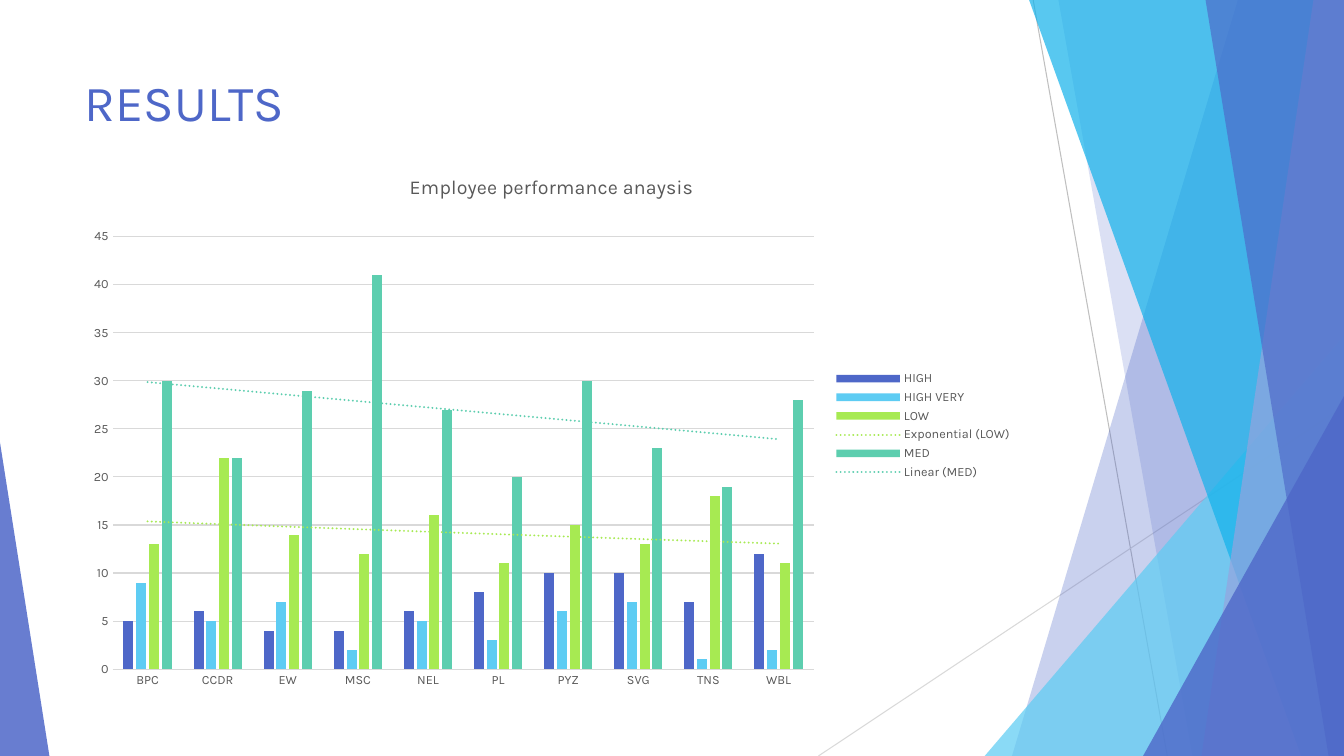
from lxml import etree
from pptx import Presentation
from pptx.chart.data import CategoryChartData
from pptx.dml.color import RGBColor
from pptx.enum.chart import XL_CHART_TYPE as ChartType
from pptx.enum.chart import XL_LEGEND_POSITION as LegendPosition
from pptx.enum.chart import XL_TICK_MARK as TickMark
from pptx.enum.shapes import MSO_CONNECTOR as Connector
from pptx.enum.shapes import MSO_SHAPE as Shape
from pptx.enum.text import MSO_ANCHOR as Anchor
from pptx.enum.text import PP_ALIGN as Align
from pptx.oxml import parse_xml
from pptx.oxml.ns import nsdecls, qn
from pptx.util import Pt

WIDTH, HEIGHT = 960, 540
FONT = "Karla"
COLORS = {
    "indigo": "4E67C8", "sky": "5ECCF3", "lime": "A7EA52", "mint": "5DCEAF",
    "azure": "12B2EB", "lavender": "95A4DE", "text": "595959",
    "grid": "D9D9D9", "rule": "BFBFBF",
}

# Back to front: (top left x, bottom left x) for facets, (left, top) for triangles
BACKDROP = [
    ("facet", (884.2, 722.9), "indigo", 30),
    ("facet", (756, 851.8), "indigo", 20),
    ("triangle", (703.4, 239.8), "sky", 72),
    ("facet", (735.1, 929.5), "azure", 70),
    ("facet", (938.2, 858.2), "lavender", 70),
    ("facet", (861.1, 949), "indigo", 65),
    ("triangle", (816.5, 283), "indigo", 80),
]
RULES = [((738, 0), (833.8, HEIGHT), "rule"), ((WIDTH, 290.2), (584.6, HEIGHT), "grid")]

DEPARTMENTS = ["BPC", "CCDR", "EW", "MSC", "NEL", "PL", "PYZ", "SVG", "TNS", "WBL"]
# Name, values, color, trend line type
RATINGS = [
    ("HIGH", [5, 6, 4, 4, 6, 8, 10, 10, 7, 12], "indigo", None),
    ("HIGH VERY", [9, 5, 7, 2, 5, 3, 6, 7, 1, 2], "sky", None),
    ("LOW", [13, 22, 14, 12, 16, 11, 15, 13, 18, 11], "lime", "exp"),
    ("MED", [30, 22, 29, 41, 27, 20, 30, 23, 19, 28], "mint", "linear"),
]


def rgb(name):
    return RGBColor.from_string(COLORS[name])


def set_all(target, values):
    for name, value in values.items():
        setattr(target, name, value)


class SlideBuilder:
    def __init__(self, slide):
        self.slide = slide
        self.shapes = slide.shapes

    def style_font(self, font, size, color):
        set_all(font, {"name": FONT, "size": Pt(size), "bold": False})
        font.color.rgb = rgb(color)

    def style_line(self, line, color):
        line.color.rgb = rgb(color)
        line.width = Pt(0.75)

    def paint(self, shape, color, opacity):
        shape.shadow.inherit = False
        shape.line.fill.background()
        shape.fill.solid()
        shape.fill.fore_color.rgb = rgb(color)
        tint = shape.fill._xPr.find(".//" + qn("a:srgbClr"))
        etree.SubElement(tint, qn("a:alpha")).set("val", str(opacity * 1000))

    def rule(self, start, end, color):
        line = self.shapes.add_connector(Connector.STRAIGHT, *map(Pt, start + end))
        self.style_line(line.line, color)
        etree.SubElement(line._element.spPr, qn("a:effectLst"))

    def facet(self, edge, color, opacity):
        """Fill from a slanted left edge to the right side of the slide."""
        top, bottom = edge
        outline = self.shapes.build_freeform(Pt(top), 0)
        corners = [(WIDTH, 0), (WIDTH, HEIGHT), (bottom, HEIGHT)]
        outline.add_line_segments([(Pt(x), Pt(y)) for x, y in corners], close=True)
        self.paint(outline.convert_to_shape(), color, opacity)

    def triangle(self, corner, color, opacity, right=WIDTH, apex=1):
        """Stand a triangle on the bottom of the slide, apex 0 left to 1 right."""
        left, top = corner
        frame = (left, top, right - left, HEIGHT - top)
        shape = self.shapes.add_shape(Shape.ISOSCELES_TRIANGLE, *map(Pt, frame))
        shape.adjustments[0] = apex
        self.paint(shape, color, opacity)

    def title(self, text, left, top, width, height):
        box = self.shapes.title
        set_all(box, {"left": Pt(left), "top": Pt(top),
                      "width": Pt(width), "height": Pt(height)})
        frame = box.text_frame
        set_all(frame, {"vertical_anchor": Anchor.TOP, "word_wrap": True})
        para = frame.paragraphs[0]
        para.alignment = Align.LEFT
        span = para.add_run()
        span.text = text
        self.style_font(span.font, 36, "indigo")

    def place(self, parent, **fractions):
        """Fix a chart part at fractions of the chart size."""
        for old in parent.findall(qn("c:layout")):
            parent.remove(old)
        target = '<c:layoutTarget val="inner"/>' if "w" in fractions else ""
        modes = "".join(f'<c:{key}Mode val="edge"/>' for key in "xy")
        sizes = "".join(f'<c:{key} val="{value}"/>' for key, value in fractions.items())
        layout = parse_xml(f'<c:layout {nsdecls("c")}><c:manualLayout>'
                           f'{target}{modes}{sizes}</c:manualLayout></c:layout>')
        text = parent.find(qn("c:tx"))
        if text is None:
            parent.insert(0, layout)
        else:
            text.addnext(layout)

    def trend(self, series, kind, color):
        line = parse_xml(
            f'<c:trendline {nsdecls("c", "a")}><c:spPr><a:ln w="{Pt(1.5)}" cap="rnd">'
            f'<a:solidFill><a:srgbClr val="{COLORS[color]}"/></a:solidFill>'
            f'<a:prstDash val="sysDot"/></a:ln></c:spPr><c:trendlineType val="{kind}"/>'
            '<c:dispRSqr val="0"/><c:dispEq val="0"/></c:trendline>')
        series._element.find(qn("c:cat")).addprevious(line)

    def column_chart(self, title, left, top, width, height):
        data = CategoryChartData()
        data.categories = DEPARTMENTS
        for name, values, *_ in RATINGS:
            data.add_series(name, values)
        chart = self.shapes.add_chart(ChartType.COLUMN_CLUSTERED,
                                      *map(Pt, (left, top, width, height)), data).chart
        self.style_font(chart.font, 9, "text")

        heading = chart.chart_title
        heading.text_frame.text = title
        self.style_font(heading.text_frame.paragraphs[0].runs[0].font, 14, "text")
        heading.include_in_layout = False
        self.place(heading._element, x=0.35, y=0.04)

        chart.has_legend = True
        set_all(chart.legend, {"position": LegendPosition.RIGHT, "include_in_layout": False})
        self.style_font(chart.legend.font, 9, "text")

        for axis in (chart.category_axis, chart.value_axis):
            set_all(axis, {"major_tick_mark": TickMark.NONE, "minor_tick_mark": TickMark.NONE})
            self.style_font(axis.tick_labels.font, 9, "text")
        self.style_line(chart.category_axis.format.line, "grid")
        scale = chart.value_axis
        set_all(scale, {"minimum_scale": 0, "maximum_scale": 45, "major_unit": 5})
        scale.format.line.fill.background()
        self.style_line(scale.major_gridlines.format.line, "grid")

        plot = chart.plots[0]
        set_all(plot, {"gap_width": 219, "overlap": -27, "vary_by_categories": False})
        for series, (_, _, color, kind) in zip(plot.series, RATINGS):
            series.format.fill.solid()
            series.format.fill.fore_color.rgb = rgb(color)
            if kind:
                self.trend(series, kind, color)
        self.place(chart._chartSpace.chart.plotArea, x=0.04, y=0.16, w=0.74, h=0.78)


def main():
    deck = Presentation()
    set_all(deck, {"slide_width": Pt(WIDTH), "slide_height": Pt(HEIGHT)})
    page = SlideBuilder(deck.slides.add_slide(deck.slide_layouts[5]))
    for start, end, color in RULES:
        page.rule(start, end, color)
    for kind, position, color, opacity in BACKDROP:
        draw = page.facet if kind == "facet" else page.triangle
        draw(position, color, opacity)
    page.triangle((0, 316.1), "indigo", 85, right=35.3, apex=0)
    page.title("RESULTS", 53.3, 47.5, 676.8, 103.7)
    page.column_chart("Employee performance anaysis", 53.3, 105.8, 676.8, 396)
    deck.save("out.pptx")


if __name__ == "__main__":
    main()
